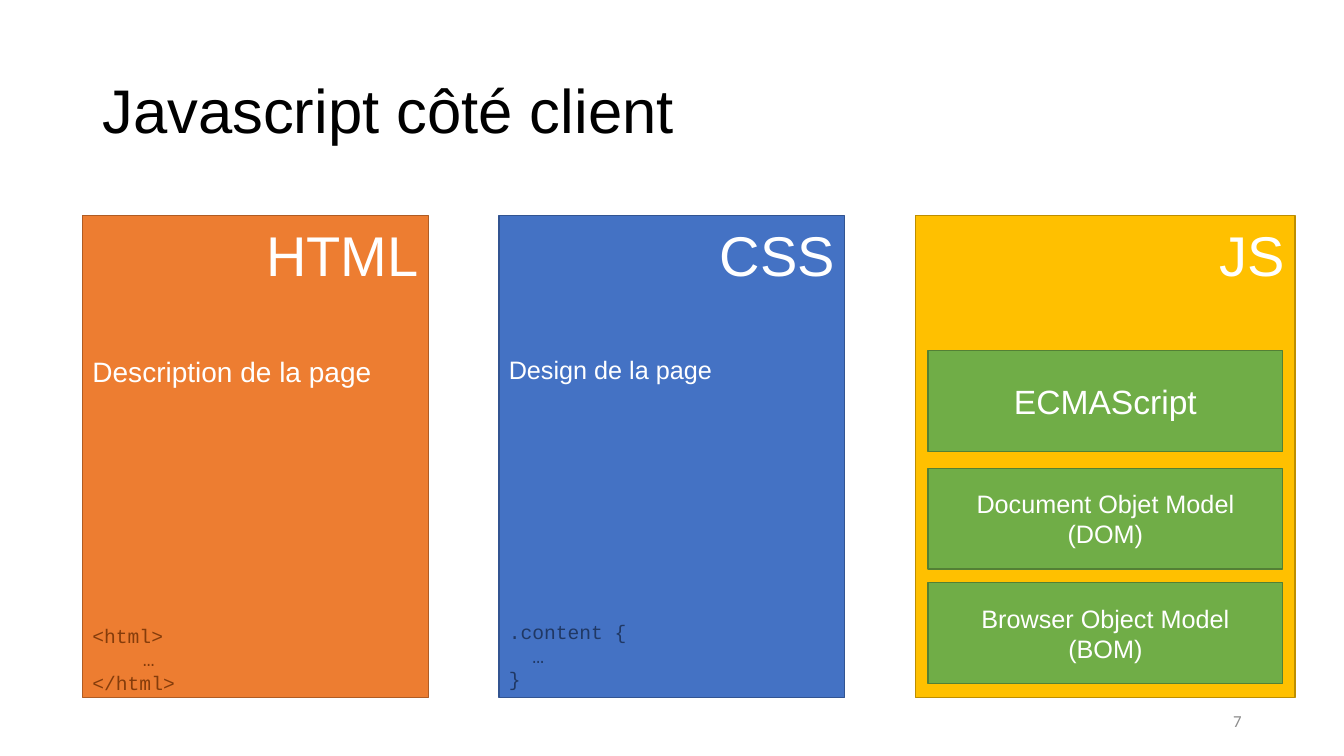
from pptx import Presentation
from pptx.dml.color import RGBColor
from pptx.enum.shapes import MSO_SHAPE
from pptx.enum.text import MSO_ANCHOR, PP_ALIGN
from pptx.oxml.ns import qn
from pptx.util import Pt
from lxml import etree

COLORS = {
    "black": "000000", "white": "FFFFFF", "grey": "8C8C8C",
    "orange": "ED7D31", "orange_edge": "AF5C24", "orange_code": "843C0B",
    "blue": "4472C4", "blue_edge": "325491", "blue_code": "203864",
    "gold": "FFC000", "gold_edge": "BD8E00",
    "green": "70AD47", "green_edge": "538035",
}
LEFT, CENTER, RIGHT = PP_ALIGN.LEFT, PP_ALIGN.CENTER, PP_ALIGN.RIGHT


def write(frame, lines, anchor=MSO_ANCHOR.MIDDLE):
    """Fill a frame from (text, size, color, alignment, paragraph format, font) rows."""
    frame.word_wrap = True
    frame.vertical_anchor = anchor
    for index, (text, size, color, alignment, spacing, font) in enumerate(lines):
        line = frame.add_paragraph() if index else frame.paragraphs[0]
        line.alignment = alignment
        for attribute, value in spacing.items():
            setattr(line, attribute, value)
        if text.startswith("\t"):
            tabs = etree.SubElement(line._p.get_or_add_pPr(), qn("a:tabLst"))
            etree.SubElement(tabs, qn("a:tab"), pos=str(Pt(36)), algn="l")
        run = line.add_run()
        run.text = text
        run.font.name, run.font.size = font, Pt(size)
        run.font.color.rgb = RGBColor.from_string(COLORS[color])


def add_block(left, top, width, height, color):
    block = slide.shapes.add_shape(
        MSO_SHAPE.RECTANGLE, Pt(left), Pt(top), Pt(width), Pt(height))
    block.shadow.inherit = False
    block.fill.solid()
    block.fill.fore_color.rgb = RGBColor.from_string(COLORS[color])
    block.line.color.rgb = RGBColor.from_string(COLORS[color + "_edge"])
    block.line.width = Pt(1)
    return block.text_frame


deck = Presentation()
deck.slide_width, deck.slide_height = Pt(960), Pt(540)
slide = deck.slides.add_slide(deck.slide_layouts[6])

title = slide.shapes.add_textbox(Pt(66), Pt(28.75), Pt(828), Pt(104.4))
write(title.text_frame, [
    ("Javascript côté client", 44, "black", LEFT, {"line_spacing": 0.9}, "Arial")])

# Heading, colour, width, description, its size, code lines
languages = [
    ("HTML", "orange", 247, "Description de la page", 20, ["<html>", "\t…", "</html>"]),
    ("CSS", "blue", 247, "Design de la page", 18, [".content {", "  …", "}"]),
    ("JS", "gold", 271.3, "", 0, []),
]
for column, (heading, color, width, description, size, code) in enumerate(languages):
    lines = [(heading, 40, "white", RIGHT, {}, "Arial")]
    if description:
        lines.append((description, size, "white", LEFT, {"space_before": Pt(47.5)}, "Arial"))
    for row, text in enumerate(code):
        spacing = {"line_spacing": Pt(16.8), "space_before": Pt(0 if row else 168.25)}
        lines.append((text, 14, color + "_code", LEFT, spacing, "Courier New"))
    panel = add_block(59 + 297.4 * column, 154.1, width, 344.2, color)
    write(panel, lines, MSO_ANCHOR.TOP)

js_parts = [
    (250.5, 24, ["ECMAScript"]),
    (334.5, 18, ["Document Objet Model", "(DOM)"]),
    (416.25, 18, ["Browser Object Model", "(BOM)"]),
]
for top, size, texts in js_parts:
    part = add_block(663, top, 253.2, 72, "green")
    write(part, [(text, size, "white", CENTER, {}, "Arial") for text in texts])

page_number = slide.shapes.add_textbox(Pt(678), Pt(500.5), Pt(216), Pt(28.75))
write(page_number.text_frame, [("7", 12, "grey", RIGHT, {}, "Calibri")])

deck.save("out.pptx")
